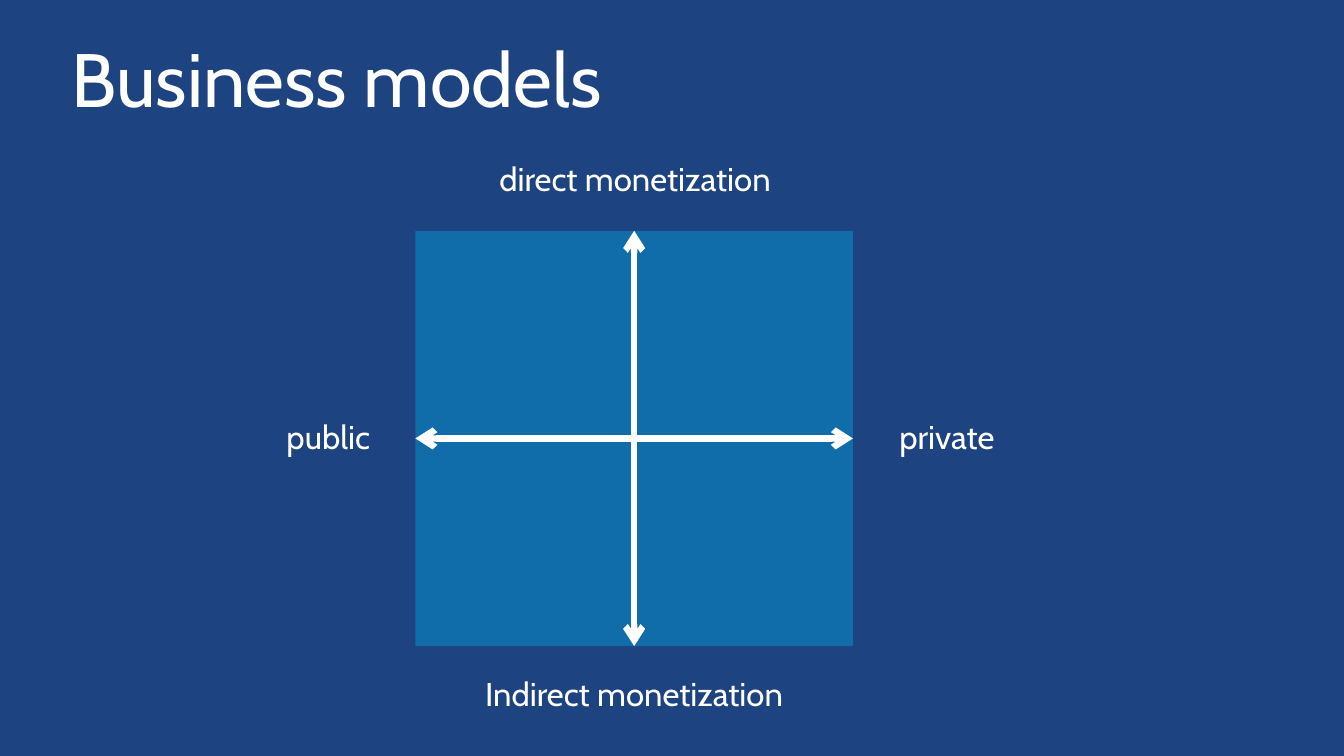
from itertools import product

from lxml import etree
from pptx import Presentation
from pptx import util as u
from pptx.dml.color import RGBColor
from pptx.enum import shapes, text
from pptx.oxml.ns import qn

COLORS = {"background": "1D4380", "quadrant": "00B0F0", "white": "FFFFFF"}
FONT = "Cabin"
QUADRANT_OPACITY = 38
LABELS = [
    ("public", (2.2, 4.02, 1.67, 0.67), text.PP_ALIGN.RIGHT),
    ("private", (8.72, 4.02, 1.67, 0.67), text.PP_ALIGN.LEFT),
    ("direct monetization", (4.28, 1.46, 4.04, 0.67), text.PP_ALIGN.CENTER),
    ("Indirect monetization", (4.27, 6.57, 4.04, 0.67), text.PP_ALIGN.CENTER),
]


def color(name):
    return RGBColor.from_string(COLORS[name])


def inches(*lengths):
    return [u.Inches(length) for length in lengths]


def write(para, words, size):
    para.line_spacing = 0.9
    span = para.add_run()
    span.text = words
    span.font.name = FONT
    span.font.size = u.Pt(size)
    span.font.color.rgb = color("white")


def add_title(page, words, box):
    title = page.shapes.title
    title.left, title.top, title.width, title.height = inches(*box)
    frame = title.text_frame
    frame.vertical_anchor = text.MSO_ANCHOR.TOP
    frame.auto_size = text.MSO_AUTO_SIZE.NONE
    frame.word_wrap = True
    frame.paragraphs[0].alignment = text.PP_ALIGN.LEFT
    write(frame.paragraphs[0], words, 54)


def add_quadrant(page, box):
    quadrant = page.shapes.add_shape(shapes.MSO_SHAPE.RECTANGLE, *inches(*box))
    quadrant.shadow.inherit = False
    quadrant.fill.solid()
    quadrant.fill.fore_color.rgb = color("quadrant")
    quadrant.line.fill.background()
    # Let the background show through
    tint = quadrant._element.spPr.find(qn("a:solidFill"))[0]
    etree.SubElement(tint, qn("a:alpha"), val=str(QUADRANT_OPACITY * 1000))


def add_axis(page, start, end):
    axis = page.shapes.add_connector(
        shapes.MSO_CONNECTOR.STRAIGHT, *inches(*start, *end))
    axis.line.color.rgb = color("white")
    axis.line.width = u.Pt(4.5)
    # Open arrowheads at both ends, no shadow
    outline = axis.line._get_or_add_ln()
    for end_name in ("a:headEnd", "a:tailEnd"):
        etree.SubElement(outline, qn(end_name), type="arrow")
    etree.SubElement(axis._element.spPr, qn("a:effectLst"))


def add_matrix(page, box):
    left, top, width, height = box
    half_width, half_height = width / 2, height / 2
    for column, row in product(range(2), repeat=2):
        add_quadrant(page, (left + column * half_width, top + row * half_height,
                            half_width, half_height))
    middle_x, middle_y = left + half_width, top + half_height
    add_axis(page, (middle_x, top), (middle_x, top + height))
    add_axis(page, (left + width, middle_y), (left, middle_y))


def add_label(page, words, box, alignment):
    label = page.shapes.add_textbox(*inches(*box))
    frame = label.text_frame
    frame.word_wrap = True
    frame.auto_size = text.MSO_AUTO_SIZE.SHAPE_TO_FIT_TEXT
    frame.margin_left = frame.margin_right = u.Inches(0.2)
    frame.margin_top = frame.margin_bottom = u.Inches(0.16)
    para = frame.paragraphs[0]
    para.alignment = alignment
    para.space_after = u.Pt(5.9)
    write(para, words, 23.5)


def main():
    deck = Presentation()
    deck.slide_width, deck.slide_height = inches(13.33, 7.5)
    page = deck.slides.add_slide(deck.slide_layouts.get_by_name("Title Only"))
    page.background.fill.solid()
    page.background.fill.fore_color.rgb = color("background")

    add_title(page, "Business models", (0.61, 0.37, 12.12, 1.05))
    add_matrix(page, (4.12, 2.29, 4.34, 4.12))
    for words, box, alignment in LABELS:
        add_label(page, words, box, alignment)
    deck.save("out.pptx")


if __name__ == "__main__":
    main()
